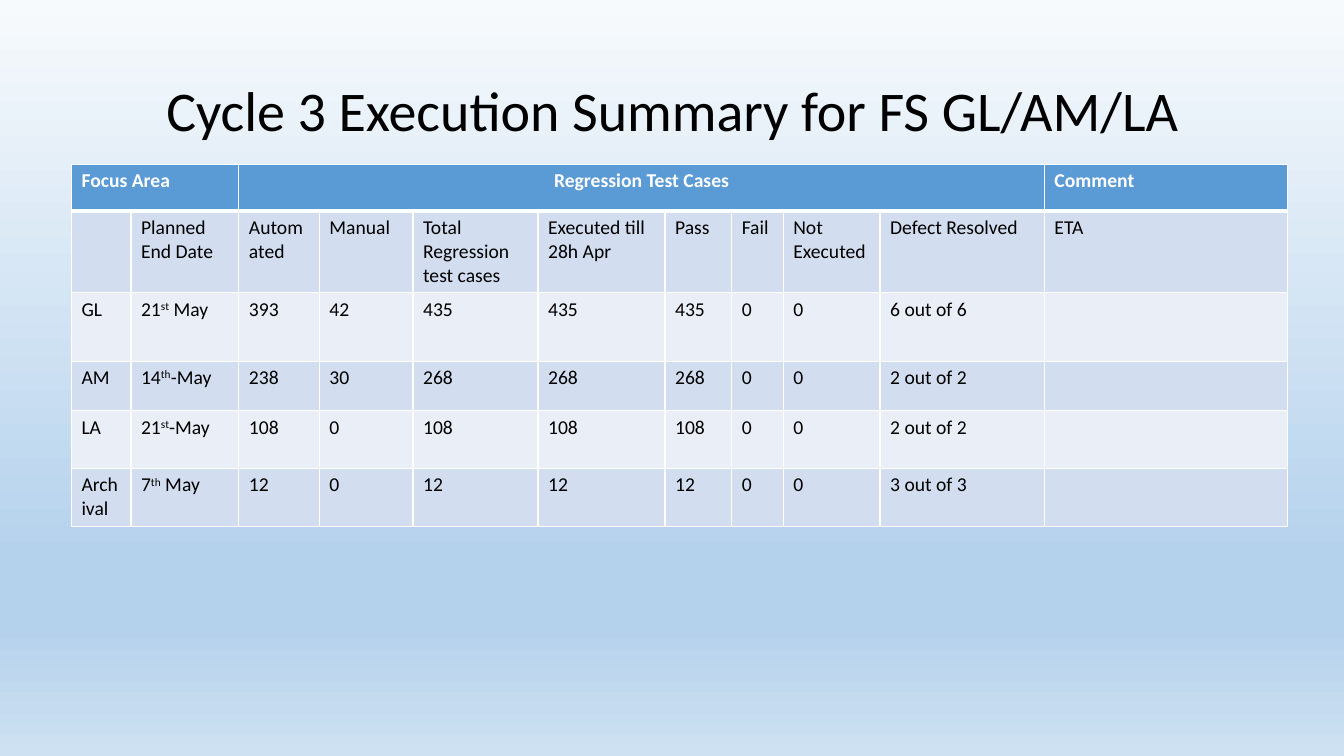
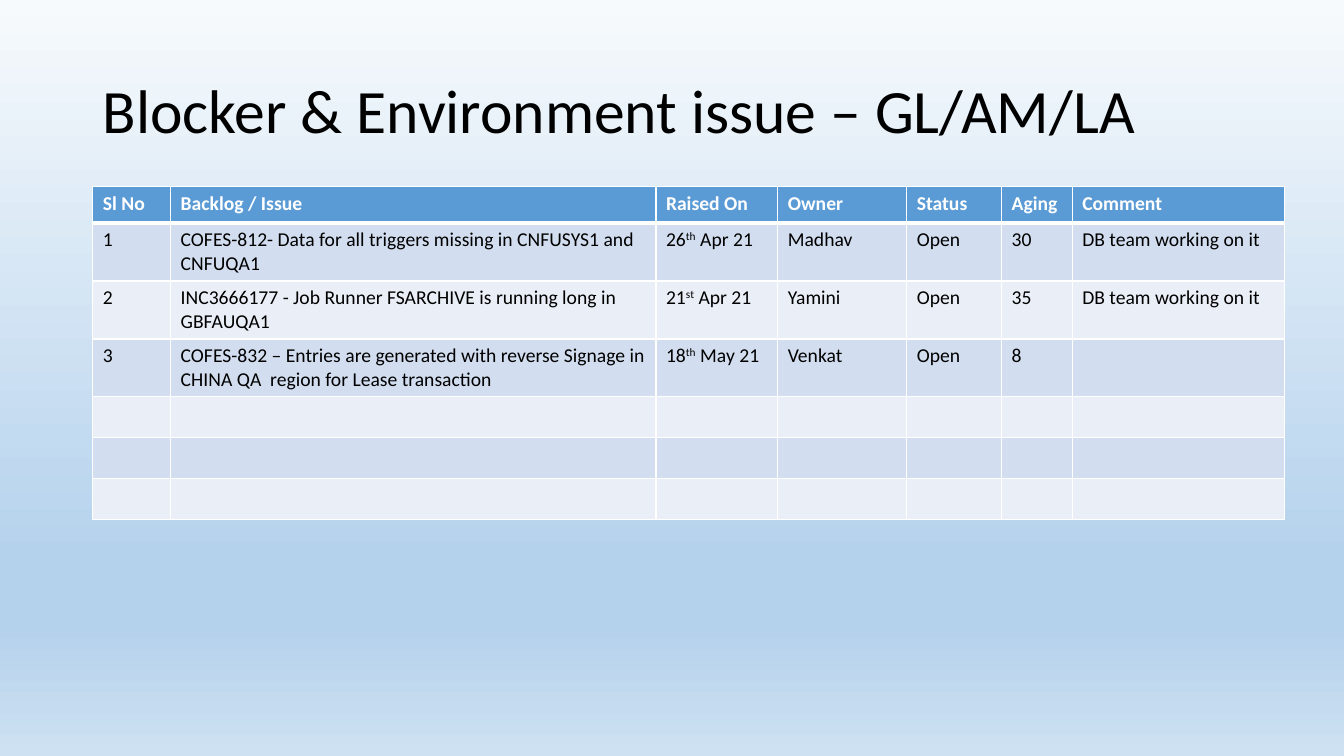
from lxml.etree import SubElement
from pptx import Presentation
from pptx.dml.color import RGBColor as RGB
from pptx.enum.text import MSO_ANCHOR as Anchor, PP_ALIGN as Align
from pptx.oxml.ns import qn
from pptx.util import Cm, Pt

BLACK = RGB(0, 0, 0)
WHITE = RGB(255, 255, 255)
BLUE = RGB(0x5B, 0x9B, 0xD5)
BANDS = RGB(0xD2, 0xDE, 0xEF), RGB(0xEA, 0xEF, 0xF7)
SKY = [(0, "F7FAFD"), (74, "B5D2EC"), (83, "B5D2EC"), (100, "CEE1F2")]
FONT = "Calibri"
THIN, THICK = 1, 3

# Text between carets is superscript; lengths are centimetres.
# A span is first column, last column, alignment, in the header row.
SLIDES = [
    {
        "title": "Cycle 3 Execution Summary for FS GL/AM/LA",
        "size": 40, "align": Align.CENTER,
        "left": 1.8, "top": 4.14,
        "cols": [1.5, 2.72, 2.03, 2.36, 3.15, 3.2, 1.68, 1.3, 2.44, 4.14, 6.13],
        "rows": [1.17, 2.06, 1.73, 1.24, 1.46, 1.46],
        "spans": [(0, 1, Align.LEFT), (2, 9, Align.CENTER)],
        "cells": [
            ["Focus Area", "", "Regression Test Cases", "", "", "", "", "",
             "", "", "Comment"],
            ["", "Planned End Date", "Automated", "Manual",
             "Total Regression test cases", "Executed till 28h Apr", "Pass",
             "Fail", "Not Executed", "Defect Resolved", "ETA"],
            ["GL", "21^st^ May", "393", "42", "435", "435", "435", "0", "0",
             "6 out of 6", ""],
            ["AM", "14^th^-May", "238", "30", "268", "268", "268", "0", "0",
             "2 out of 2", ""],
            ["LA", "21^st^-May", "108", "0", "108", "108", "108", "0", "0",
             "2 out of 2", ""],
            ["Archival", "7^th^ May", "12", "0", "12", "12", "12", "0", "0",
             "3 out of 3", ""],
        ],
    },
    {
        "title": "Blocker & Environment issue – GL/AM/LA",
        "size": 44, "align": Align.LEFT,
        "left": 2.34, "top": 4.7,
        "cols": [1.96, 12.23, 3.07, 3.25, 2.39, 1.78, 5.36],
        "rows": [0.92] + [1.46] * 3 + [1.03] * 3,
        "spans": [],
        "cells": [
            ["Sl No", "Backlog / Issue", "Raised On", "Owner", "Status",
             "Aging", "Comment"],
            ["1", "COFES-812- Data for all triggers missing in CNFUSYS1 and "
             "CNFUQA1", "26^th^ Apr 21", "Madhav", "Open", "30",
             "DB team working on it"],
            ["2", "INC3666177 - Job Runner FSARCHIVE is running long in "
             "GBFAUQA1", "21^st^ Apr 21", "Yamini", "Open", "35",
             "DB team working on it"],
            ["3", "COFES-832 – Entries are generated with reverse Signage in "
             "CHINA QA  region for Lease transaction", "18^th^ May 21",
             "Venkat", "Open", "8", ""],
        ] + [[""] * 7] * 3,
    },
]


def write(frame, text, size=14, color=BLACK, bold=False, align=Align.LEFT,
          space=None):
    """Fill a text frame with one paragraph, raising text between carets."""
    para = frame.paragraphs[0]
    para.alignment = align
    para.line_spacing = space
    for i, part in enumerate(text.split("^")):
        if not part:
            continue
        run = para.add_run()
        run.text = part
        font = run.font
        font.name, font.size, font.bold = FONT, Pt(size), bold
        font.color.rgb = color
        if i % 2:
            run._r.get_or_add_rPr().set("baseline", "30000")


def edge(cell, top, base):
    """Draw white borders round a cell."""
    props = cell._tc.get_or_add_tcPr()
    for side, width in zip("LRTB", (THIN, THIN, top, base)):
        line = SubElement(props, qn(f"a:ln{side}"), w=str(Pt(width)))
        fill = SubElement(line, qn("a:solidFill"))
        SubElement(fill, qn("a:srgbClr"), val=str(WHITE))


def paint(master):
    """Give every slide the sky gradient, top to bottom."""
    fill = master.background.fill
    fill.gradient()
    fill.gradient_angle = 270
    stops = master.element.find(".//" + qn("a:gsLst"))
    for stop in list(stops):
        stops.remove(stop)
    for place, color in SKY:
        stop = SubElement(stops, qn("a:gs"), pos=str(place * 1000))
        SubElement(stop, qn("a:srgbClr"), val=color)


def head(slide, data):
    """Add the slide title."""
    box = slide.shapes.add_textbox(Cm(2.34), Cm(1.02), Cm(29.21), Cm(3.68))
    frame = box.text_frame
    frame.word_wrap = True
    frame.vertical_anchor = Anchor.MIDDLE
    write(frame, data["title"], size=data["size"], align=data["align"],
          space=0.9)


def grid(slide, data):
    """Add the banded table with its header row."""
    cols, rows = data["cols"], data["rows"]
    table = slide.shapes.add_table(
        len(rows), len(cols), Cm(data["left"]), Cm(data["top"]),
        Cm(sum(cols)), Cm(sum(rows))).table
    for col, width in zip(table.columns, cols):
        col.width = Cm(width)
    for row, height in zip(table.rows, rows):
        row.height = Cm(height)
    aligns = {first: align for first, _, align in data["spans"]}
    for r, texts in enumerate(data["cells"]):
        top = r == 0
        for c, text in enumerate(texts):
            cell = table.cell(r, c)
            edge(cell, THICK if r == 1 else THIN, THICK if top else THIN)
            cell.fill.solid()
            cell.fill.fore_color.rgb = BLUE if top else BANDS[(r - 1) % 2]
            write(cell.text_frame, text, bold=top,
                  color=WHITE if top else BLACK,
                  align=aligns.get(c, Align.LEFT) if top else Align.LEFT)
    for first, last, _ in data["spans"]:
        table.cell(0, first).merge(table.cell(0, last))


def main():
    """Build and save the deck."""
    deck = Presentation()
    deck.slide_width, deck.slide_height = Cm(33.87), Cm(19.05)
    paint(deck.slide_master)
    for data in SLIDES:
        slide = deck.slides.add_slide(deck.slide_layouts[6])
        head(slide, data)
        grid(slide, data)
    deck.save("out.pptx")


main()
